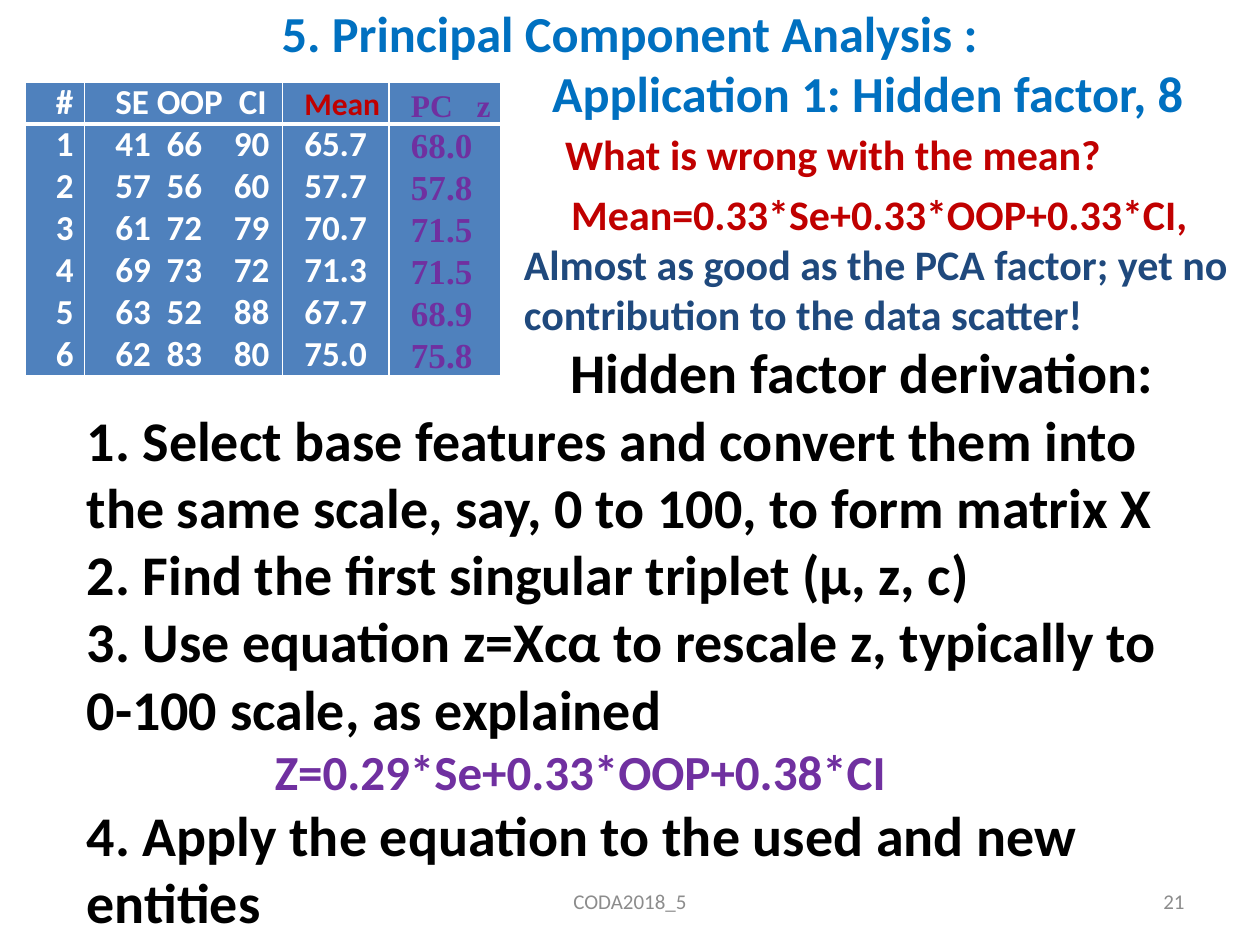
import pptx
import pptx.util
import pptx.dml.color
import pptx.enum.text
import pptx.oxml.ns
from lxml import etree

Pt = pptx.util.Pt
ALIGN = pptx.enum.text.PP_ALIGN
ANCHOR = pptx.enum.text.MSO_ANCHOR
BLUE, RED, NAVY, PURPLE = "0070C0", "C00000", "1F497D", "7030A0"
BLACK, WHITE, GREY, CELL_BLUE = "000000", "FFFFFF", "8C8C8C", "4F81BD"

# Heading, size, colour, font, extra width of word gaps in heading and body, values
TABLE_COLUMNS = [
    ("#", 20, WHITE, "Calibri", [], [], ["1", "2", "3", "4", "5", "6"]),
    ("SE OOP CI", 20, WHITE, "Calibri", [0, 4.5], [4.5, 13.5],
     ["41 66 90", "57 56 60", "61 72 79", "69 73 72", "63 52 88", "62 83 80"]),
    ("Mean", 18, RED, "Calibri", [], [],
     ["65.7", "57.7", "70.7", "71.3", "67.7", "75.0"]),
    ("PC z", 18, PURPLE, "Times New Roman", [9], [],
     ["68.0", "57.8", "71.5", "71.5", "68.9", "75.8"]),
]


def color(value):
    return pptx.dml.color.RGBColor.from_string(value)


def format_runs(paragraph, size, fill, bold=True, font="Calibri"):
    for run in paragraph.runs:
        run.font.size = Pt(size)
        run.font.name = font
        run.font.bold = bold
        run.font.color.rgb = color(fill)


def set_indents(paragraph, left=0, first=0):
    properties = paragraph._p.get_or_add_pPr()
    properties.set("marL", str(Pt(left)))
    properties.set("indent", str(Pt(first)))


def add_text(slide, box, lines, align=ALIGN.LEFT, anchor=ANCHOR.TOP, bold=True):
    """Each line is (text, size, colour, left indent)."""
    shape = slide.shapes.add_textbox(*map(Pt, box))
    frame = shape.text_frame
    frame.word_wrap = True
    frame.vertical_anchor = anchor
    frame.text = "\n".join(line[0] for line in lines)
    for paragraph, (_, size, fill, indent) in zip(frame.paragraphs, lines):
        paragraph.alignment = align
        set_indents(paragraph, left=indent)
        format_runs(paragraph, size, fill, bold)
    return frame


def add_title(slide, box):
    add_text(slide, box, [
        ("5. Principal Component Analysis :", 28.8, BLUE, 0),
        ("Application 1: Hidden factor, 8", 28.8, BLUE, 272),
    ], ALIGN.CENTER, ANCHOR.MIDDLE)


def widen_gaps(paragraph, gaps):
    """Split the paragraph at its spaces and letterspace each space."""
    first_word, *words = paragraph.text.split(" ")
    paragraph.text = first_word
    for word, gap in zip(words, gaps):
        space = paragraph.add_run()
        space.text = " "
        space._r.get_or_add_rPr().set("spc", str(int(gap * 100)))
        paragraph.add_run().text = word


def add_border(cell, tag, width):
    qn = pptx.oxml.ns.qn
    line = etree.Element(qn(tag), w=str(Pt(width)))
    fill = etree.SubElement(line, qn("a:solidFill"))
    etree.SubElement(fill, qn("a:srgbClr"), val=WHITE)
    cell._tc.get_or_add_tcPr().insert(0, line)


def fill_cell(cell, texts, size, fill, font, gaps, side_margin):
    cell.fill.solid()
    cell.fill.fore_color.rgb = color(CELL_BLUE)
    cell.margin_left = cell.margin_right = Pt(side_margin)
    cell.margin_top = cell.margin_bottom = 0
    cell.text_frame.text = "\n".join(texts)
    for paragraph in cell.text_frame.paragraphs:
        paragraph.alignment = ALIGN.JUSTIFY
        paragraph.line_spacing = Pt(24)
        set_indents(paragraph, first=12.5)
        widen_gaps(paragraph, gaps)
        format_runs(paragraph, size, fill, font=font)


def add_score_table(slide, box):
    table = slide.shapes.add_table(2, len(TABLE_COLUMNS), *map(Pt, box)).table
    table.rows[0].height = Pt(24)
    table.rows[1].height = Pt(box[3] - 24)
    for index, width in enumerate([34, 113, 61, 64]):
        table.columns[index].width = Pt(width)
        heading, size, fill, font, head_gaps, body_gaps, values = TABLE_COLUMNS[index]
        margin = 5 if index < 2 else 0
        body_fill = PURPLE if fill == PURPLE else WHITE
        head, body = table.cell(0, index), table.cell(1, index)
        fill_cell(head, [heading], size, fill, font, head_gaps, margin)
        fill_cell(body, values, 20, body_fill, font, body_gaps, margin)
        # Thick rule under the heading
        add_border(head, "a:lnB", 3)
        add_border(body, "a:lnT", 3)


def add_mean_remarks(slide, box):
    left, top, width, height = box
    add_text(slide, box, [
        ("Mean=0.33*Se+0.33*OOP+0.33*CI,", 24, RED, 27),
        ("Almost as good as the PCA factor; yet no contribution to the data scatter!",
         24, NAVY, 0),
    ])
    # Question above the formula
    add_text(slide, (left + 18, top - 34, width - 53, 36),
             [("What is wrong with the mean?", 24, RED, 5.5)])


def add_derivation(slide, box):
    frame = add_text(slide, box, [
        ("Hidden factor derivation:", 32, BLACK, 276.5),
        ("1. Select base features and convert them into the same scale, "
         "say, 0 to 100, to form matrix X", 32, BLACK, 0),
        ("2. Find the first singular triplet (μ, z, c)", 32, BLACK, 0),
        ("3. Use equation z=Xcα to rescale z, typically to 0-100 scale, "
         "as explained", 32, BLACK, 0),
        ("Z=0.29*Se+0.33*OOP+0.38*CI", 28, PURPLE, 107.5),
        ("4. Apply the equation to the used and new entities", 32, BLACK, 0),
    ])
    frame.paragraphs[0].line_spacing = 1.12


def add_footer(slide, box):
    left, top, width, height = box
    add_text(slide, (left, top, 228, height), [("CODA2018_5", 12, GREY, 0)],
             ALIGN.CENTER, ANCHOR.MIDDLE, bold=False)
    add_text(slide, (left + width - 168, top, 168, height), [("21", 12, GREY, 0)],
             ALIGN.RIGHT, ANCHOR.MIDDLE, bold=False)


def main():
    presentation = pptx.Presentation()
    presentation.slide_width = Pt(720)
    presentation.slide_height = Pt(540)
    slide = presentation.slides.add_slide(presentation.slide_layouts[6])
    add_title(slide, (0, 0, 720, 71))
    add_footer(slide, (246, 500.5, 438, 29))
    add_score_table(slide, (14.4, 46.8, 272, 168))
    add_mean_remarks(slide, (292.3, 104, 420, 94))
    add_derivation(slide, (42.5, 185, 642, 353))
    presentation.save("out.pptx")


if __name__ == "__main__":
    main()
